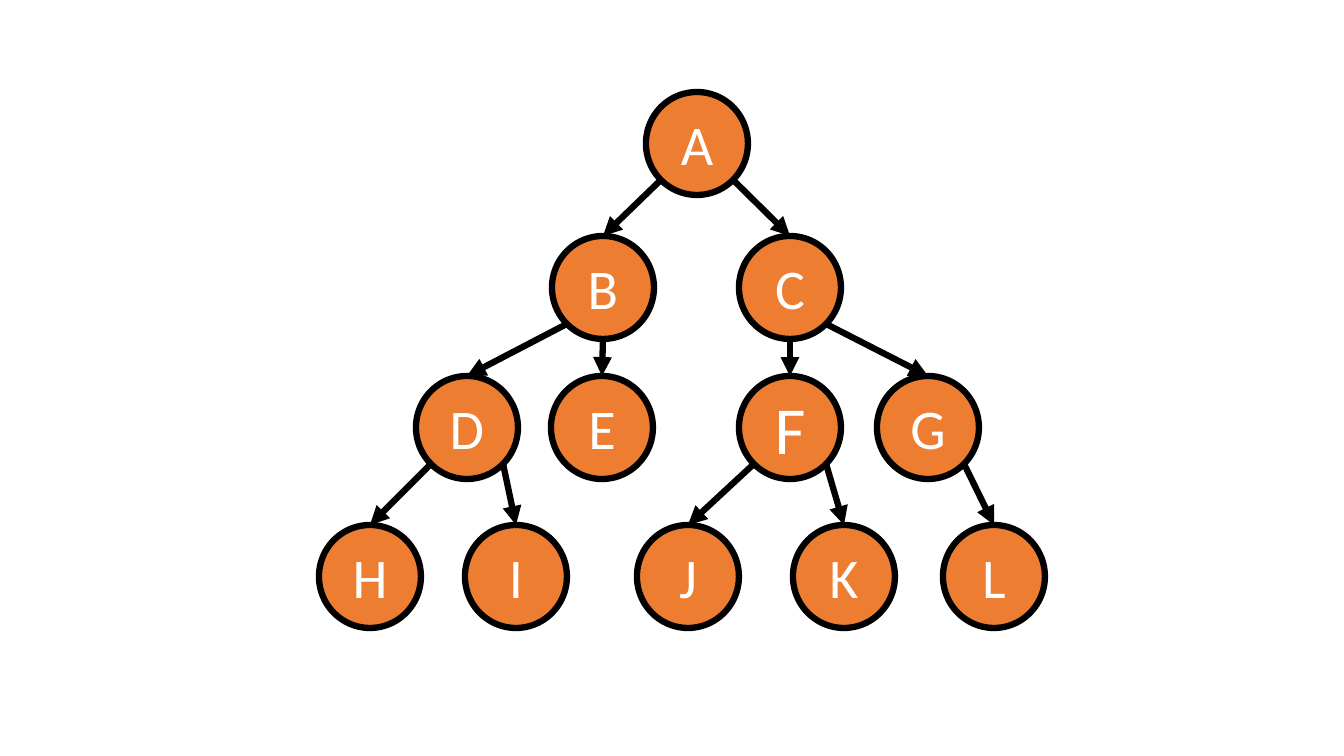
from math import sqrt

from lxml import etree
from pptx import Presentation
from pptx.dml.color import RGBColor
from pptx.enum.shapes import MSO_CONNECTOR, MSO_SHAPE
from pptx.enum.text import MSO_ANCHOR, PP_ALIGN
from pptx.oxml.ns import qn
from pptx.util import Pt

OVAL, STRAIGHT = MSO_SHAPE.OVAL, MSO_CONNECTOR.STRAIGHT
MIDDLE, CENTER = MSO_ANCHOR.MIDDLE, PP_ALIGN.CENTER
ORANGE = RGBColor(0xED, 0x7D, 0x31)
BLACK = RGBColor(0, 0, 0)
WHITE = RGBColor(255, 255, 255)

SLIDE_W, SLIDE_H = 1344, 756
EMU_PER_PX = 914400 / 100.8
TREE_BOX = (319, 92)
NODE_W, NODE_H = 102, 103
LEVEL_TOPS = (0, 144, 284, 433)
LEVELS = (
    {"A": 327},
    {"B": 233, "C": 420},
    {"D": 97, "E": 232, "F": 420, "G": 558},
    {"H": 0, "I": 146, "J": 318, "K": 474, "L": 624},
)
CHILDREN = {"A": "BC", "B": "DE", "C": "FG", "D": "HI", "F": "JK", "G": "L"}
LETTER_SIZES = {"F": 48}
LETTER_FONT = {"name": "Calibri", "size": Pt(40)}
STRAIGHT_DOWN = 10  # children nearer than this hang from the bottom point


def emu(px):
    """Turn pixels into EMU."""
    return round(px * EMU_PER_PX)


def style_line(line):
    """Give a line the heavy black stroke."""
    line.color.rgb = BLACK
    line.width = Pt(4.5)


def add_node(s, letter, x, y):
    """Draw one lettered circle with its top left at x, y."""
    sp = s.shapes.add_shape(OVAL, *map(emu, (x, y, NODE_W, NODE_H)))
    sp.shadow.inherit = False
    sp.fill.solid()
    sp.fill.fore_color.rgb = ORANGE
    style_line(sp.line)
    tf = sp.text_frame
    tf.vertical_anchor = MIDDLE
    p = tf.paragraphs[0]
    p.alignment = CENTER
    r = p.add_run()
    r.text = letter
    for key, value in LETTER_FONT.items():
        setattr(r.font, key, value)
    if letter in LETTER_SIZES:
        r.font.size = Pt(LETTER_SIZES[letter])
    r.font.color.rgb = WHITE


def add_edge(s, parent, child):
    """Draw an arrow from the rim of a parent to the top of its child."""
    (px, py), (cx, cy) = parent, child
    shift = cx - px
    side = 0 if abs(shift) < STRAIGHT_DOWN else (1 if shift > 0 else -1)
    drop = 1 / sqrt(2) if side else 1
    x = px + NODE_W / 2 * (1 + side / sqrt(2))
    y = py + NODE_H / 2 * (1 + drop)
    line = s.shapes.add_connector(
        STRAIGHT, emu(x), emu(y), emu(cx + NODE_W / 2), emu(cy))
    style_line(line.line)
    etree.SubElement(line.line._get_or_add_ln(), qn("a:tailEnd"), type="triangle")
    etree.SubElement(line._element.spPr, qn("a:effectLst"))


def add_tree(s, box):
    """Draw the nodes and arrows of the tree from the box corner."""
    left, top = box
    places = {letter: (left + x, top + y)
              for y, level in zip(LEVEL_TOPS, LEVELS)
              for letter, x in level.items()}
    for letter, place in places.items():
        add_node(s, letter, *place)
    for parent, children in CHILDREN.items():
        for child in children:
            add_edge(s, places[parent], places[child])


prs = Presentation()
prs.slide_width, prs.slide_height = emu(SLIDE_W), emu(SLIDE_H)
s = prs.slides.add_slide(prs.slide_layouts[6])
add_tree(s, TREE_BOX)
prs.save("out.pptx")
